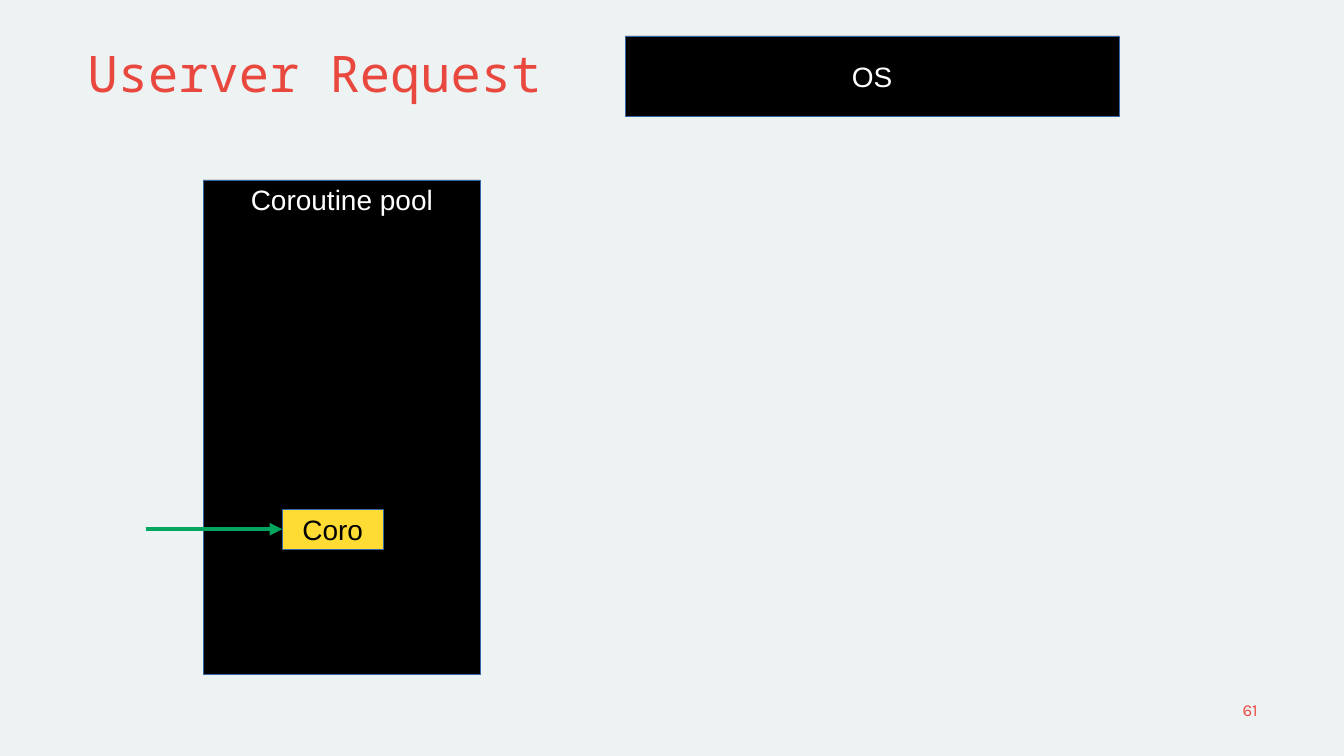
from lxml import etree
from pptx import Presentation
from pptx.dml.color import RGBColor
from pptx.enum.shapes import MSO_CONNECTOR, MSO_SHAPE
from pptx.enum.text import MSO_ANCHOR, MSO_AUTO_SIZE, PP_ALIGN
from pptx.oxml.ns import qn
from pptx.util import Pt

RECT, STRAIGHT = MSO_SHAPE.RECTANGLE, MSO_CONNECTOR.STRAIGHT
TOP, MID = MSO_ANCHOR.TOP, MSO_ANCHOR.MIDDLE
LEFT, MIDDLE, RIGHT = PP_ALIGN.LEFT, PP_ALIGN.CENTER, PP_ALIGN.RIGHT
LEFT_SIDE = 1

PAPER = RGBColor(0xED, 0xF3, 0xF3)
RED = RGBColor(0xE9, 0x48, 0x3F)
BLACK = RGBColor(0, 0, 0)
WHITE = RGBColor(0xFF, 0xFF, 0xFF)
YELLOW = RGBColor(0xFF, 0xDC, 0x33)
BLUE = RGBColor(0x34, 0x65, 0xA4)
GREEN = RGBColor(0x00, 0xA6, 0x5D)

SCALE = 9144  # EMU in one px, 100 px to the inch
SIZE = (2666, 1500)

TITLE = ("Userver Request", (174, 60, 2322, 159))
NUMBER = ("61", (2375, 1380, 120, 48))
BOXES = [  # text, place, fill, text colour, anchor
    ("Coroutine pool", (403, 357, 550, 980), BLACK, WHITE, TOP),
    ("OS", (1240, 71, 980, 159), BLACK, WHITE, MID),
    ("Coro", (560, 1010, 200, 80), YELLOW, BLACK, MID),
]
ARROW_START = 289

TITLE_FONT = {"name": "Noto Sans Mono", "size": Pt(72), "bold": False}
NUMBER_FONT = {"name": "Karla", "size": Pt(24)}
BOX_FONT = {"name": "Arial", "size": Pt(40)}


def emu(*lengths):
    return [n * SCALE for n in lengths]


def write(shape, text, font, color, align, anchor, insets, wrap):
    frame = shape.text_frame
    frame.text = text
    frame.word_wrap = wrap
    frame.auto_size = MSO_AUTO_SIZE.NONE
    frame.vertical_anchor = anchor
    sides = ("left", "top", "right", "bottom")
    for side, inset in zip(sides, emu(*insets)):
        setattr(frame, f"margin_{side}", inset)
    par = frame.paragraphs[0]
    par.alignment = align
    for key, value in font.items():
        setattr(par.font, key, value)
    par.font.color.rgb = color


def add_box(slide, text, place, fill, color, anchor):
    box = slide.shapes.add_shape(RECT, *emu(*place))
    box.shadow.inherit = False
    box.fill.solid()
    box.fill.fore_color.rgb = fill
    box.line.color.rgb = BLUE
    box.line.width = Pt(0)
    write(box, text, BOX_FONT, color, MIDDLE, anchor, (10, 5, 10, 5), False)
    return box


def add_arrow(slide, start, box):
    """Draw a level arrow from x = start to the left side of the box."""
    y = box.top + box.height // 2
    arrow = slide.shapes.add_connector(STRAIGHT, start, y, box.left, y)
    arrow.end_connect(box, LEFT_SIDE)
    arrow.line.color.rgb = GREEN
    arrow.line.width = Pt(6)
    etree.SubElement(arrow.line._get_or_add_ln(), qn("a:tailEnd"), type="triangle")
    etree.SubElement(arrow._element.spPr, qn("a:effectLst"))


def main():
    deck = Presentation()
    deck.slide_width, deck.slide_height = emu(*SIZE)
    slide = deck.slides.add_slide(deck.slide_layouts[5])
    slide.background.fill.solid()
    slide.background.fill.fore_color.rgb = PAPER

    text, place = TITLE
    title = slide.shapes.title
    title.left, title.top, title.width, title.height = emu(*place)
    write(title, text, TITLE_FONT, RED, LEFT, TOP, (0, 24, 0, 0), True)

    text, place = NUMBER
    number = slide.shapes.add_textbox(*emu(*place))
    write(number, text, NUMBER_FONT, RED, RIGHT, MID, (0, 8, 0, 0), True)

    pool, system, coro = [add_box(slide, *box) for box in BOXES]
    add_arrow(slide, ARROW_START * SCALE, coro)
    deck.save("out.pptx")


if __name__ == "__main__":
    main()
